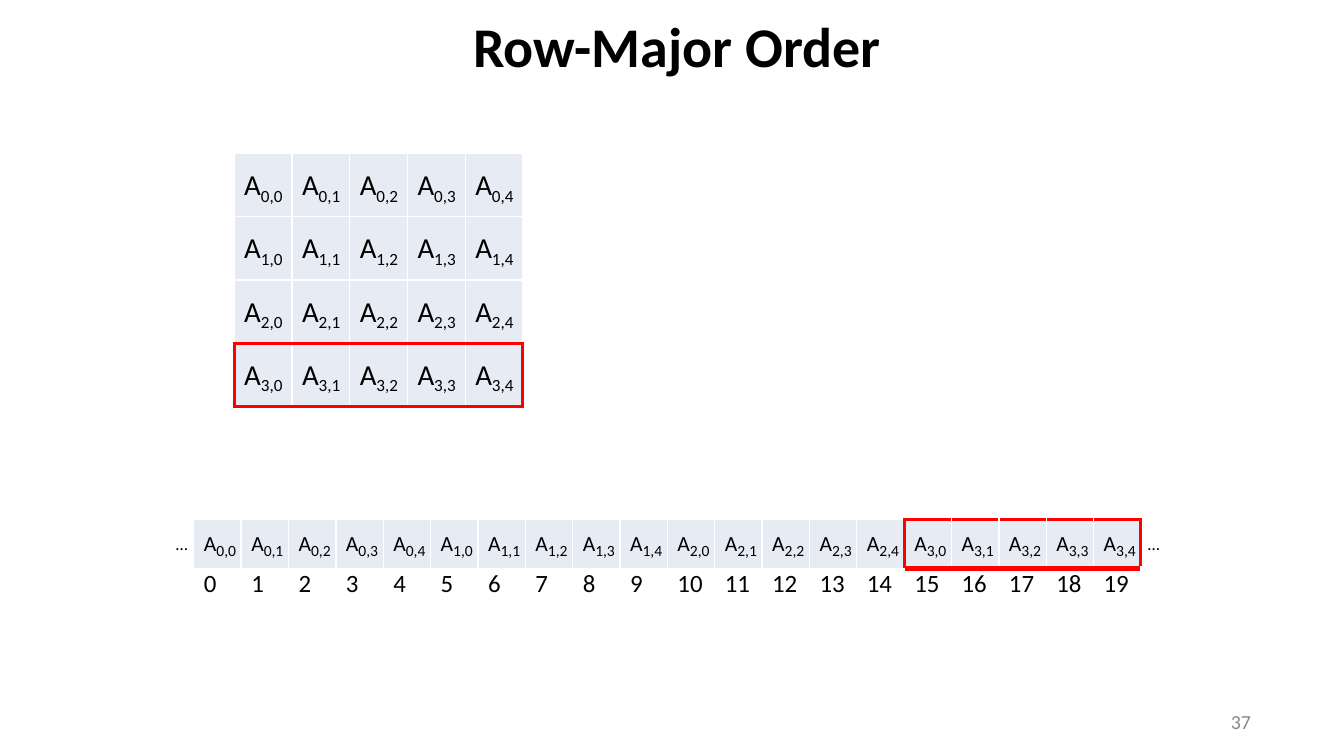
from lxml import etree
from pptx import Presentation
from pptx import util as u
from pptx.dml.color import RGBColor
from pptx.enum import text
from pptx.oxml.ns import qn

WIDTH, HEIGHT = u.Inches(12), u.Inches(6.75)
COLUMN, ROW = WIDTH / 100, HEIGHT / 100
BLACK, WHITE, RED, GREY, PALE = "000000", "FFFFFF", "FF0000", "898989", "E7EBF3"
MATRIX_ROWS, MATRIX_COLUMNS = 4, 5
CELL_INDENT = 0.09


def colour(code):
    """Return the colour of a hex string."""
    return RGBColor.from_string(code)


def place(box):
    """Turn a box in grid columns and rows into slide lengths."""
    left, top, width, height = box
    return (round(left * COLUMN), round(top * ROW),
            round(width * COLUMN), round(height * ROW))


def format_paragraph(paragraph, size, code=BLACK, indent=0.0, align=text.PP_ALIGN.LEFT):
    """Set the indent, alignment and font of a paragraph."""
    properties = paragraph._p.get_or_add_pPr()
    properties.set("marL", str(u.Inches(indent)))
    properties.set("indent", "0")
    paragraph.alignment = align
    paragraph.font.name = "Calibri"
    paragraph.font.size = u.Pt(size)
    paragraph.font.color.rgb = colour(code)


def clear_margins(frame):
    """Remove the inner margins of a text frame or cell."""
    frame.margin_left = frame.margin_right = 0
    frame.margin_top = frame.margin_bottom = 0


def add_title(slide, box, words):
    """Fill the title placeholder."""
    title = slide.shapes.title
    title.left, title.top, title.width, title.height = place(box)
    frame = title.text_frame
    clear_margins(frame)
    frame.vertical_anchor = text.MSO_ANCHOR.MIDDLE
    frame.auto_size = text.MSO_AUTO_SIZE.SHAPE_TO_FIT_TEXT
    frame.text = words
    paragraph = frame.paragraphs[0]
    format_paragraph(paragraph, 36, indent=2.46, align=text.PP_ALIGN.CENTER)
    paragraph.font.bold = True


def add_label(slide, box, words, size, code=BLACK, align=text.PP_ALIGN.LEFT,
              anchor=text.MSO_ANCHOR.TOP):
    """Add a line of text in a box without margins."""
    frame = slide.shapes.add_textbox(*place(box)).text_frame
    clear_margins(frame)
    frame.word_wrap = True
    frame.vertical_anchor = anchor
    frame.text = words
    format_paragraph(frame.paragraphs[0], size, code, 0.01, align)


def add_border(cell, side, code, width):
    """Draw one side of a cell."""
    line = etree.SubElement(cell._tc.get_or_add_tcPr(), qn(f"a:ln{side}"), w=str(u.Pt(width)))
    fill = etree.SubElement(line, qn("a:solidFill"))
    etree.SubElement(fill, qn("a:srgbClr"), val=code)


def add_grid(slide, box, rows, columns, marked, seam_width=2.25):
    """Add a plain table with a red outline around the marked cells."""
    table = slide.shapes.add_table(rows, columns, *place(box)).table
    table.first_row = table.horz_banding = False
    sides = {"L": (0, -1), "R": (0, 1), "T": (-1, 0), "B": (1, 0)}
    for row in range(rows):
        for column in range(columns):
            cell = table.cell(row, column)
            clear_margins(cell)
            for side, (down, across) in sides.items():
                neighbour = (row + down, column + across)
                if ((row, column) in marked) == (neighbour in marked):
                    add_border(cell, side, WHITE, 1)
                else:
                    add_border(cell, side, RED, seam_width if down > 0 or row > 0 else 2.25)
    return table


def write_element(cell, row, column, size, index_size):
    """Write a matrix element with its subscript indices."""
    cell.fill.solid()
    cell.fill.fore_color.rgb = colour(PALE)
    cell.vertical_anchor = text.MSO_ANCHOR.MIDDLE
    paragraph = cell.text_frame.paragraphs[0]
    format_paragraph(paragraph, index_size, indent=CELL_INDENT)
    letter, indices = paragraph.add_run(), paragraph.add_run()
    letter.text, indices.text = "A", f"{row},{column}"
    letter.font.size = u.Pt(size)
    letter._r.get_or_add_rPr().set("baseline", "13000")


def add_matrix(slide, box):
    """Add the matrix with its last row outlined."""
    last = MATRIX_ROWS - 1
    marked = {(last, column) for column in range(MATRIX_COLUMNS)}
    table = add_grid(slide, box, MATRIX_ROWS, MATRIX_COLUMNS, marked)
    for row in range(MATRIX_ROWS):
        for column in range(MATRIX_COLUMNS):
            write_element(table.cell(row, column), row, column, 32, 11)


def add_memory(slide, box):
    """Add the row-major memory strip with addresses and ellipses."""
    left, top, width, height = box
    count = MATRIX_ROWS * MATRIX_COLUMNS
    marked = {(0, address) for address in range(count - MATRIX_COLUMNS, count)}
    for edge in (left - 1.42, left + width + 0.41):
        add_label(slide, (edge, top + 1.78, 1.42, 2.81), "…", 11)
    table = add_grid(slide, box, 2, count, marked, 3.79)
    for address in range(count):
        row, column = divmod(address, MATRIX_COLUMNS)
        write_element(table.cell(0, address), row, column, 24, 10)
        cell = table.cell(1, address)
        cell.fill.background()
        cell.text = str(address)
        format_paragraph(cell.text_frame.paragraphs[0], 16, indent=CELL_INDENT)


def main():
    """Build the slide and save it."""
    presentation = Presentation()
    presentation.slide_width, presentation.slide_height = WIDTH, HEIGHT
    slide = presentation.slides.add_slide(presentation.slide_layouts[5])
    add_title(slide, (12.5, 1.93, 55.25, 8.15), "Row-Major Order")
    add_matrix(slide, (17.42, 20.3, 21.5, 33.48))
    add_memory(slide, (14.42, 68.74, 70.5, 12.89))
    add_label(slide, (70.58, 92.74, 22.5, 5.33), "37", 12.8, GREY,
              text.PP_ALIGN.RIGHT, text.MSO_ANCHOR.MIDDLE)
    presentation.save("out.pptx")


if __name__ == "__main__":
    main()
